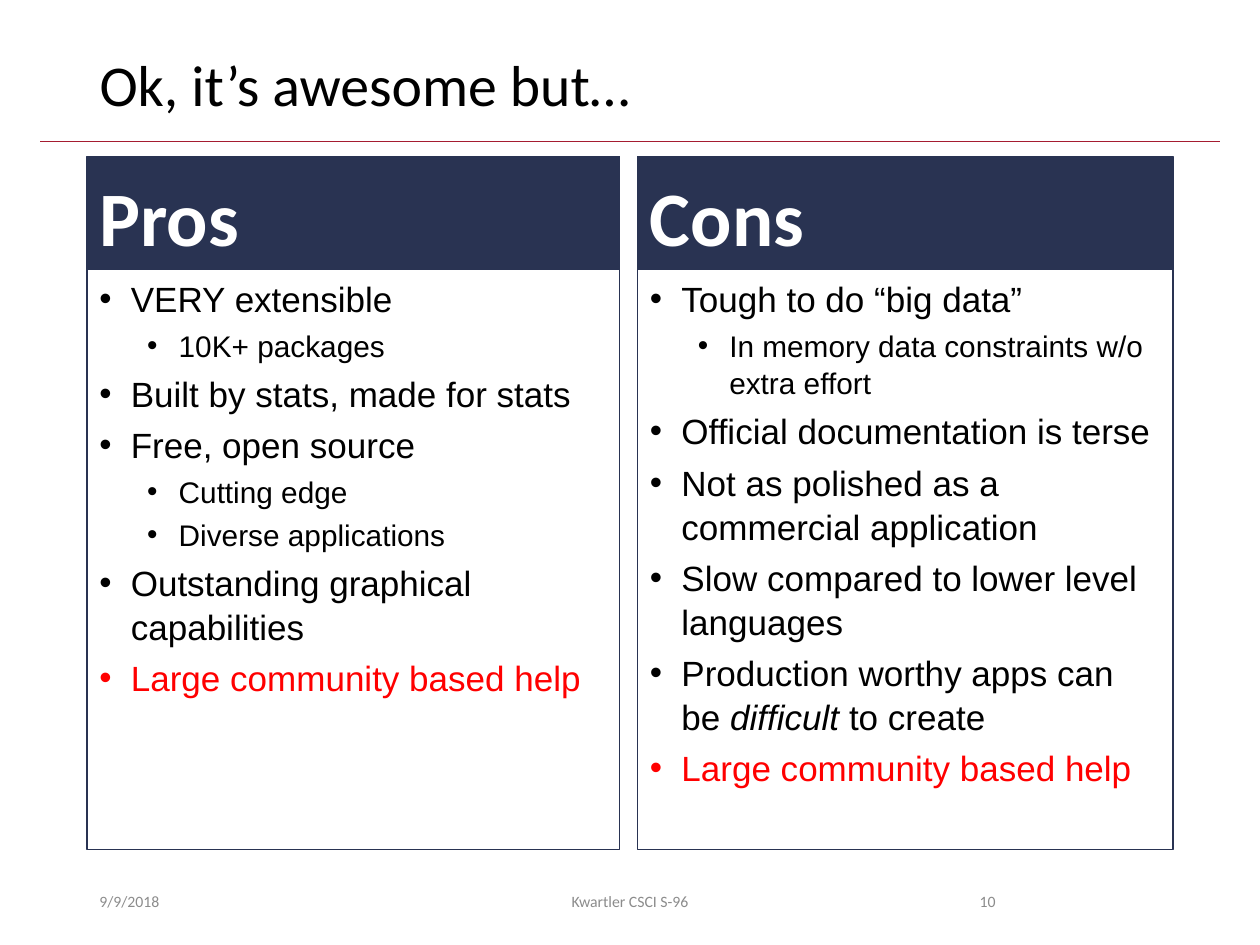
import pptx
import pptx.dml.color
import pptx.enum.shapes
import pptx.enum.text
import pptx.oxml
import pptx.oxml.ns
import pptx.util
from pptx.util import Inches, Pt

NAVY, RED, BLACK, WHITE, GREY, CRIMSON = (
    "293352", "FF0000", "000000", "FFFFFF", "8C8C8C", "A51C30")
ALIGN = pptx.enum.text.PP_ALIGN
ANCHOR = pptx.enum.text.MSO_ANCHOR

TITLE = "Ok, it’s awesome but…"
# Each bullet: level, text pieces, colour; every second piece is italic.
COLUMNS = [
    ("Pros", 0.69, 4.23, [
        (0, ["VERY extensible"], BLACK),
        (1, ["10K+ packages"], BLACK),
        (0, ["Built by stats, made for stats"], BLACK),
        (0, ["Free, open source"], BLACK),
        (1, ["Cutting edge"], BLACK),
        (1, ["Diverse applications"], BLACK),
        (0, ["Outstanding graphical capabilities"], BLACK),
        (0, ["Large community based help"], RED),
    ]),
    ("Cons", 5.06, 4.25, [
        (0, ["Tough to do “big data”"], BLACK),
        (1, ["In memory data constraints w/o extra effort"], BLACK),
        (0, ["Official documentation is terse"], BLACK),
        (0, ["Not as polished as a commercial application"], BLACK),
        (0, ["Slow compared to lower level languages"], BLACK),
        (0, ["Production worthy apps can be ", "difficult", " to create"], BLACK),
        (0, ["Large community based help"], RED),
    ]),
]
FOOTERS = [
    ("9/9/2018", 0.69, 2.25, ALIGN.LEFT),
    ("Kwartler CSCI S-96", 3.31, 3.38, ALIGN.CENTER),
    ("10", 7.06, 0.94, ALIGN.RIGHT),
]
LEVELS = [(20, 0.25), (17, 0.63)]  # text size, left margin
HANGING = 0.25
HEADER_TOP, HEADER_HEIGHT, BODY_HEIGHT = 1.24, 0.9, 4.6


def rgb(colour):
    return pptx.dml.color.RGBColor.from_string(colour)


def style_run(run, size, colour, font="Calibri", bold=False, italic=False):
    run.font.name = font
    run.font.size = Pt(size)
    run.font.color.rgb = rgb(colour)
    run.font.bold = bold
    run.font.italic = italic


def write_line(shape, text, size, colour, anchor, align=ALIGN.LEFT,
               bold=False, line_spacing=None):
    frame = shape.text_frame
    frame.text = text
    frame.word_wrap = True
    frame.auto_size = pptx.enum.text.MSO_AUTO_SIZE.NONE
    frame.vertical_anchor = anchor
    paragraph = frame.paragraphs[0]
    paragraph.alignment = align
    paragraph.line_spacing = line_spacing
    style_run(paragraph.runs[0], size, colour, bold=bold)


def add_panel(slide, left, top, width, height, fill=None):
    panel = slide.shapes.add_shape(
        pptx.enum.shapes.MSO_SHAPE.RECTANGLE,
        Inches(left), Inches(top), Inches(width), Inches(height))
    panel.shadow.inherit = False
    panel.line.color.rgb = rgb(NAVY)
    panel.line.width = Pt(0.75)
    if fill:
        panel.fill.solid()
        panel.fill.fore_color.rgb = rgb(fill)
    else:
        panel.fill.background()
    return panel


def set_bullet(paragraph, margin):
    properties = paragraph._p.get_or_add_pPr()
    properties.set("marL", str(Inches(margin)))
    properties.set("indent", str(-Inches(HANGING)))
    for tag, key, value in (("a:buFont", "typeface", "Arial"),
                            ("a:buChar", "char", "•")):
        element = pptx.oxml.parse_xml(f"<{tag} {pptx.oxml.ns.nsdecls('a')}/>")
        element.set(key, value)
        properties.append(element)


def write_bullets(shape, bullets):
    frame = shape.text_frame
    frame.word_wrap = True
    frame.vertical_anchor = ANCHOR.TOP
    for index, (level, pieces, colour) in enumerate(bullets):
        paragraph = frame.add_paragraph() if index else frame.paragraphs[0]
        size, margin = LEVELS[level]
        paragraph.level = level
        paragraph.alignment = ALIGN.LEFT
        paragraph.line_spacing = 1.05
        paragraph.space_before = Pt(size * 0.2)
        set_bullet(paragraph, margin)
        for position, piece in enumerate(pieces):
            run = paragraph.add_run()
            run.text = piece
            style_run(run, size, colour, "Arial", italic=position % 2 == 1)


def add_rule(slide):
    rule = slide.shapes.add_connector(
        pptx.enum.shapes.MSO_CONNECTOR.STRAIGHT,
        Inches(0.32), Inches(1.12), Inches(9.68), Inches(1.12))
    rule.line.color.rgb = rgb(CRIMSON)
    rule.line.width = Pt(0.5)
    rule._element.spPr.append(
        pptx.oxml.parse_xml(f"<a:effectLst {pptx.oxml.ns.nsdecls('a')}/>"))


def main():
    presentation = pptx.Presentation()
    presentation.slide_width = Inches(10)
    presentation.slide_height = Inches(7.5)
    slide = presentation.slides.add_slide(presentation.slide_layouts[5])

    title = slide.shapes.title
    title.left, title.top = Inches(0.69), Inches(0.4)
    title.width, title.height = Inches(8.62), Inches(0.65)
    write_line(title, TITLE, 33, BLACK, ANCHOR.TOP, line_spacing=0.9)
    add_rule(slide)

    for heading, left, width, bullets in COLUMNS:
        header = add_panel(slide, left, HEADER_TOP, width, HEADER_HEIGHT, NAVY)
        write_line(header, heading, 44, WHITE, ANCHOR.BOTTOM,
                   bold=True, line_spacing=0.9)
        body = add_panel(slide, left, HEADER_TOP + HEADER_HEIGHT, width, BODY_HEIGHT)
        write_bullets(body, bullets)

    for text, left, width, align in FOOTERS:
        footer = slide.shapes.add_textbox(
            Inches(left), Inches(6.95), Inches(width), Inches(0.4))
        write_line(footer, text, 9, GREY, ANCHOR.MIDDLE, align)

    presentation.save("out.pptx")


if __name__ == "__main__":
    main()
